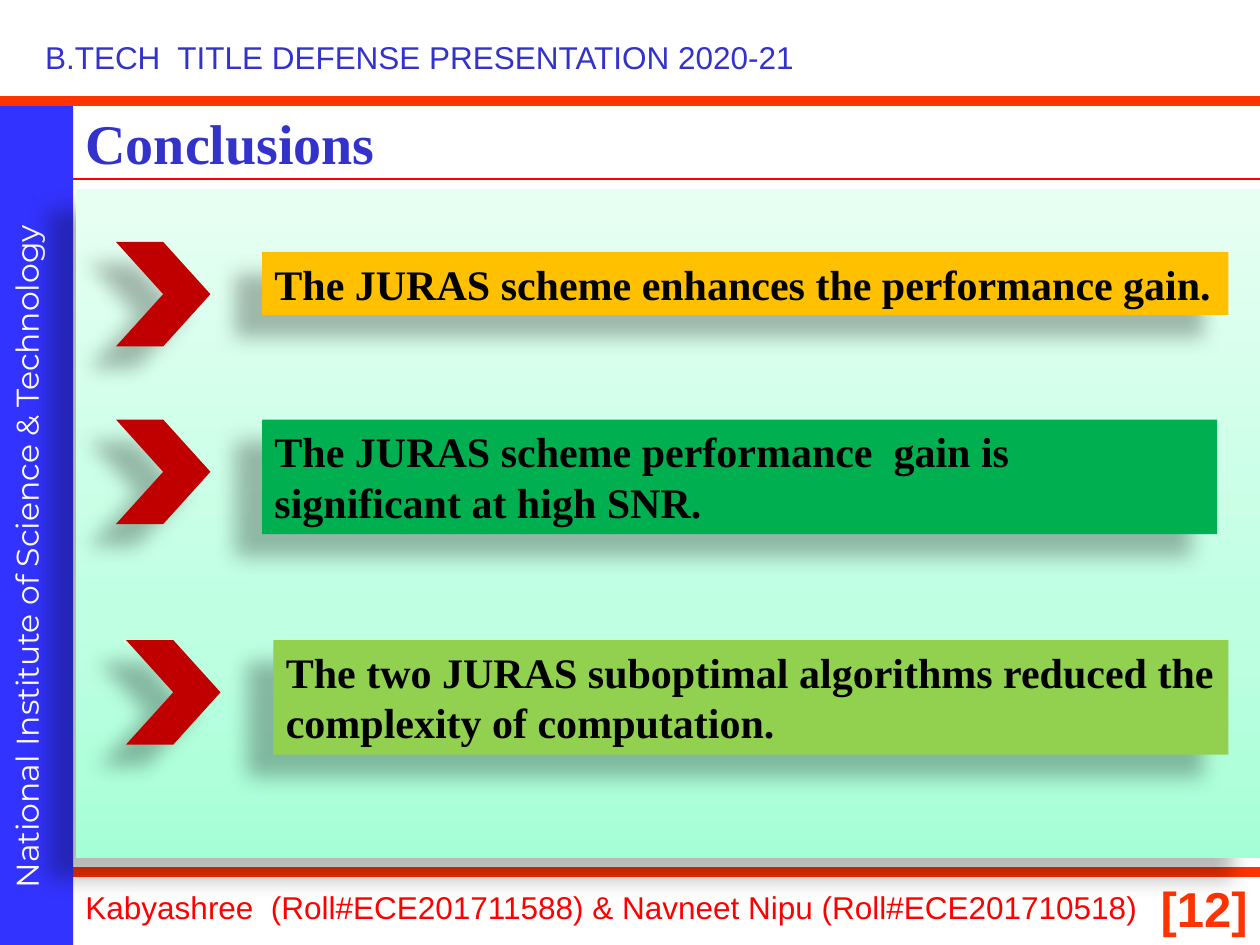
from dataclasses import dataclass

from pptx import Presentation
from pptx.dml.color import RGBColor
from pptx.enum.shapes import MSO_CONNECTOR as Connector, MSO_SHAPE as Preset
from pptx.enum.text import MSO_ANCHOR as Anchor, PP_ALIGN as Align
from pptx.oxml import parse_xml
from pptx.oxml.ns import nsdecls
from pptx.util import Inches, Pt


@dataclass(frozen=True)
class Theme:
    blue: str = "3333FF"
    title: str = "3333CC"
    orange: str = "FF3300"
    red: str = "FF0000"
    chevron: str = "C00000"
    white: str = "FFFFFF"
    black: str = "000000"
    amber: str = "FFC000"
    green: str = "00B050"
    lime: str = "92D050"
    mint: tuple = ((0, "A5FFD6"), (35, "BFFFE2"), (100, "E7FFF3"))
    sans: str = "Arial"
    serif: str = "Times New Roman"
    side: str = "Montserrat"
    small: int = 18
    body: int = 24
    number: int = 28
    heading: int = 32


def apply(target, values):
    for name, value in values.items():
        setattr(target, name, value)


class SlideBuilder:
    def __init__(self, page, theme):
        self.page = page
        self.theme = theme

    def line(self, left, top, color, width):
        line = self.page.shapes.add_connector(
            Connector.STRAIGHT, Inches(left), Inches(top), Inches(10), Inches(top))
        line.line.color.rgb = RGBColor.from_string(color)
        line.line.width = Pt(width)
        line._element.spPr.append(parse_xml(f"<a:effectLst {nsdecls('a')}/>"))

    def shape(self, preset, place, color, shadow=True):
        shape = self.page.shapes.add_shape(preset, *map(Inches, place))
        shape.line.fill.background()
        shape.shadow.inherit = False
        if isinstance(color, str):
            shape.fill.solid()
            shape.fill.fore_color.rgb = RGBColor.from_string(color)
        else:
            self.gradient(shape, color)
        if shadow:
            shape._element.spPr.effectLst.append(parse_xml(
                f'<a:outerShdw {nsdecls("a")} blurRad="{Pt(11.8)}" dist="{Pt(19.7)}" '
                f'dir="{141 * 60000}" algn="ctr" rotWithShape="0">'
                f'<a:srgbClr val="{self.theme.black}"><a:alpha val="28000"/></a:srgbClr>'
                '</a:outerShdw>'))
        return shape

    def gradient(self, shape, stops):
        shape.fill.gradient()
        shape.fill.gradient_angle = 90
        stop_list = shape._element.spPr.find(".//{*}gsLst")
        for stop in list(stop_list):
            stop_list.remove(stop)
        for position, color in stops:
            stop_list.append(parse_xml(
                f'<a:gs {nsdecls("a")} pos="{position * 1000}">'
                f'<a:srgbClr val="{color}"/></a:gs>'))

    def label(self, box, text, font, size, color, bold=False, frame=None, layout=None):
        apply(box.text_frame, {"word_wrap": True, "vertical_anchor": Anchor.TOP,
                               **(frame or {})})
        para = box.text_frame.paragraphs[0]
        apply(para, {"alignment": Align.LEFT, **(layout or {})})
        span = para.add_run()
        span.text = text
        apply(span.font, {"name": font, "size": Pt(size), "bold": bold})
        span.font.color.rgb = RGBColor.from_string(color)

    def text(self, place, *content, rotation=0, **formats):
        box = self.page.shapes.add_textbox(*map(Inches, place))
        box.rotation = rotation
        self.label(box, *content, **formats)

    def conclusion(self, left, top, width, height, color, text):
        theme = self.theme
        box = self.shape(Preset.RECTANGLE, (left, top, width, height), color)
        self.label(box, text, theme.serif, theme.body, theme.black, True)

    def chevron(self, left, top):
        self.shape(Preset.CHEVRON, (left, top, 0.75, 0.83), self.theme.chevron)


theme = Theme()
deck = Presentation()
apply(deck, {"slide_width": Inches(10), "slide_height": Inches(7.5)})
page = deck.slides.add_slide(deck.slide_layouts[6])
slide = SlideBuilder(page, theme)

slide.line(0, 6.92, theme.orange, 6)
slide.shape(Preset.RECTANGLE, (0, 0.8, 0.58, 6.7), theme.blue, shadow=False)
slide.text((-2.87, 3.87, 6.16, 0.4), "National Institute of Science & Technology",
           theme.side, theme.small, theme.white, rotation=270,
           layout={"space_before": Pt(11.2)})
slide.line(0, 0.8, theme.orange, 6)
slide.line(0.58, 1.42, theme.red, 0.75)
slide.text((8.92, 6.92, 1.08, 0.58), "[12]", theme.sans, theme.number, theme.orange, True,
           layout={"alignment": Align.RIGHT})
slide.text((0.26, 0.25, 6.2, 0.41), "B.TECH  TITLE DEFENSE PRESENTATION 2020-21",
           theme.sans, theme.small, theme.title, frame={"word_wrap": False})
slide.text((0.58, 7, 8.75, 0.41),
           "Kabyashree  (Roll#ECE201711588) & Navneet Nipu (Roll#ECE201710518)",
           theme.sans, theme.small, theme.red)
slide.text((0.58, 0.81, 9.42, 0.63), "Conclusions", theme.serif, theme.heading, theme.title,
           True, frame={"vertical_anchor": Anchor.MIDDLE})
slide.shape(Preset.RECTANGLE, (0.6, 1.5, 9.4, 5.31), theme.mint)

conclusions = [
    (2.08, 2, 7.67, 0.5, theme.amber,
     "The JURAS scheme enhances the performance gain."),
    (2.08, 3.33, 7.58, 0.91, theme.green,
     "The JURAS scheme performance  gain is significant at high SNR."),
    (2.17, 5.08, 7.58, 0.91, theme.lime,
     "The two JURAS suboptimal algorithms reduced the complexity of computation."),
]
for conclusion in conclusions:
    slide.conclusion(*conclusion)
for left, top in [(0.92, 1.92), (0.92, 3.33), (1, 5.08)]:
    slide.chevron(left, top)

deck.save("out.pptx")
